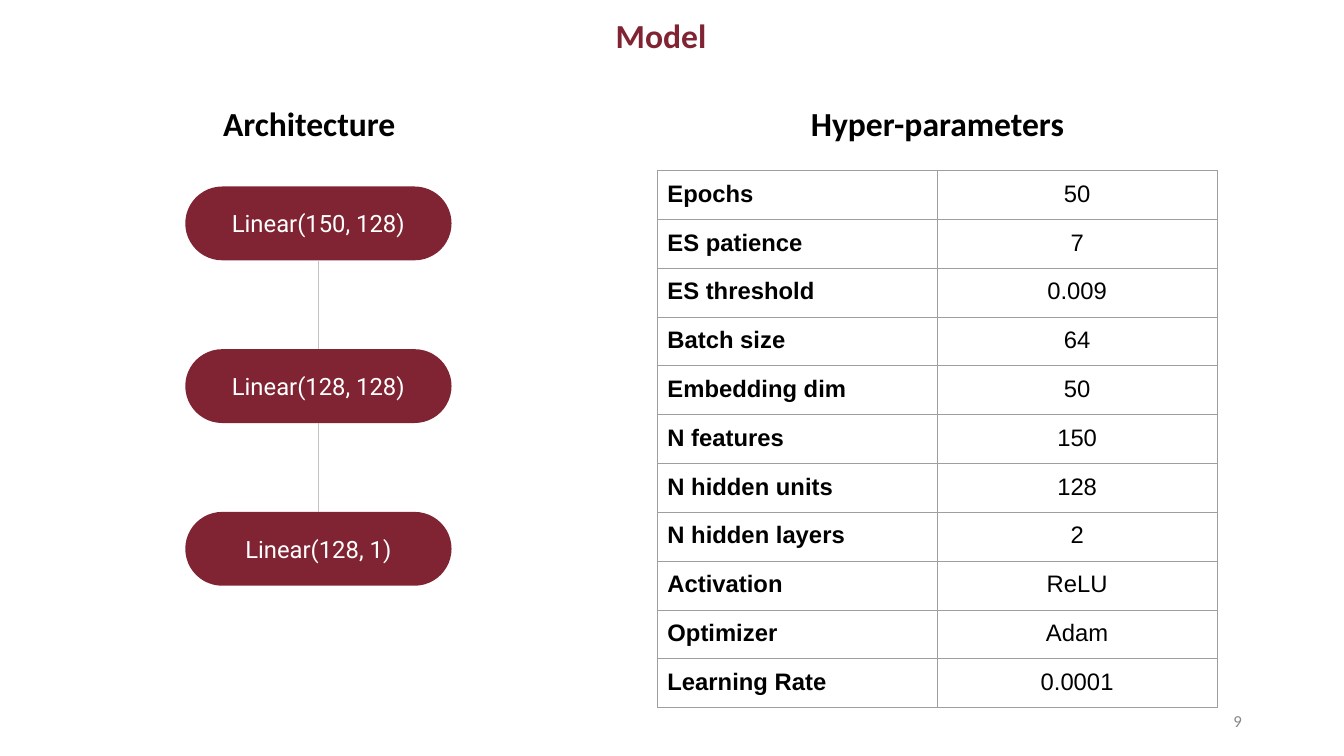
from lxml import etree
from pptx import Presentation
from pptx.dml.color import RGBColor
from pptx.enum.shapes import MSO_CONNECTOR, MSO_SHAPE
from pptx.enum.text import MSO_ANCHOR, PP_ALIGN
from pptx.oxml import parse_xml
from pptx.oxml.ns import nsdecls, qn
from pptx.util import Cm, Pt

LEFT, CENTER, RIGHT = PP_ALIGN.LEFT, PP_ALIGN.CENTER, PP_ALIGN.RIGHT
TOP, MIDDLE = MSO_ANCHOR.TOP, MSO_ANCHOR.MIDDLE
PILL, STRAIGHT = MSO_SHAPE.ROUNDED_RECTANGLE, MSO_CONNECTOR.STRAIGHT
PILL_TOP_SITE, PILL_BOTTOM_SITE = 0, 2

MAROON = RGBColor(0x80, 0x24, 0x33)
BLACK = RGBColor(0x00, 0x00, 0x00)
WHITE = RGBColor(0xFF, 0xFF, 0xFF)
GREY = RGBColor(0x88, 0x88, 0x88)
LINK_GREY = RGBColor(0xC2, 0xC2, 0xC2)
BORDER_GREY = RGBColor(0x9E, 0x9E, 0x9E)

LAYERS = ["Linear(150, 128)", "Linear(128, 128)", "Linear(128, 1)"]
HYPER_PARAMETERS = [
    ("Epochs", "50"),
    ("ES patience", "7"),
    ("ES threshold", "0.009"),
    ("Batch size", "64"),
    ("Embedding dim", "50"),
    ("N features", "150"),
    ("N hidden units", "128"),
    ("N hidden layers", "2"),
    ("Activation", "ReLU"),
    ("Optimizer", "Adam"),
    ("Learning Rate", "0.0001"),
]


def apply(target, formats):
    """Set every attribute in formats on target."""
    for attribute, value in formats.items():
        setattr(target, attribute, value)


def margins(horizontal, vertical):
    """Return the four inner margins in centimetres."""
    return {
        "margin_left": Cm(horizontal), "margin_right": Cm(horizontal),
        "margin_top": Cm(vertical), "margin_bottom": Cm(vertical),
    }


class ModelSlide:
    """Hold the slide's text styles and draw its elements."""

    title = {"name": "Calibri", "size": Pt(24), "bold": True}
    layer = {"name": "Roboto", "size": Pt(17)}
    entry = {"name": "Arial", "size": Pt(17)}
    number = {"name": "Calibri", "size": Pt(12)}

    def __init__(self, slide):
        """Keep the slide to draw on."""
        self.slide = slide

    def paragraph(self, frame, words, style, color, align, spacing=None):
        """Put one styled paragraph into a text frame."""
        paragraph = frame.paragraphs[0]
        apply(paragraph, {"alignment": align, "line_spacing": spacing})
        run = paragraph.add_run()
        run.text = words
        apply(run.font, style)
        run.font.color.rgb = color

    def text(self, box, words, style, color, align=CENTER, anchor=TOP,
             inset=0.25, spacing=0.9):
        """Add a wrapped text box."""
        frame = self.slide.shapes.add_textbox(*map(Cm, box)).text_frame
        apply(frame, {"word_wrap": True, "vertical_anchor": anchor,
                      **margins(0.25, inset)})
        self.paragraph(frame, words, style, color, align, spacing)

    def pill(self, box, words):
        """Add a fully rounded layer box."""
        shape = self.slide.shapes.add_shape(PILL, *map(Cm, box))
        shape.adjustments[0] = 0.5
        shape.shadow.inherit = False
        shape.fill.solid()
        shape.fill.fore_color.rgb = MAROON
        shape.line.fill.background()
        apply(shape.text_frame, {"word_wrap": True, "vertical_anchor": MIDDLE,
                                 **margins(0.33, 0.33)})
        self.paragraph(shape.text_frame, words, self.layer, WHITE, CENTER)
        return shape

    def link(self, upper, lower):
        """Connect the top of the lower layer to the bottom of the upper."""
        connector = self.slide.shapes.add_connector(STRAIGHT, 0, 0, 0, 0)
        connector.begin_connect(lower, PILL_TOP_SITE)
        connector.end_connect(upper, PILL_BOTTOM_SITE)
        connector.line.color.rgb = LINK_GREY
        connector.line.width = Pt(0.75)
        etree.SubElement(connector.element.spPr, qn("a:effectLst"))

    def border(self, cell):
        """Draw a thin line on each side of a cell."""
        properties = cell._tc.get_or_add_tcPr()
        for side in ("lnL", "lnR", "lnT", "lnB"):
            properties.append(parse_xml(
                f'<a:{side} {nsdecls("a")} w="{Pt(0.75)}"><a:solidFill>'
                f'<a:srgbClr val="{BORDER_GREY}"/></a:solidFill></a:{side}>'))

    def table(self, left, top, column_width, row_height, rows):
        """Add a bordered table of names and values."""
        table = self.slide.shapes.add_table(
            len(rows), 2, Cm(left), Cm(top),
            Cm(2 * column_width), Cm(len(rows) * row_height)).table
        apply(table, {"first_row": False, "horz_banding": False})
        for r, row in enumerate(rows):
            for c, words in enumerate(row):
                cell = table.cell(r, c)
                apply(cell, margins(0.25, 0.25))
                self.border(cell)
                cell.fill.background()
                self.paragraph(cell.text_frame, words,
                               {**self.entry, "bold": c == 0}, BLACK,
                               CENTER if c else LEFT)


def main():
    """Build and save the model slide."""
    deck = Presentation()
    apply(deck, {"slide_width": Cm(33.87), "slide_height": Cm(19.05)})
    model = ModelSlide(deck.slides.add_slide(deck.slide_layouts[6]))

    model.text((23.93, 17.65, 7.62, 1.02), "9", model.number, GREY,
               RIGHT, MIDDLE, 0.13, 1.0)
    model.text((0, 0.23, 33.32, 1.45), "Model", model.title, MAROON)
    for left, heading in ((3.63, "Architecture"), (19.46, "Hyper-parameters")):
        model.text((left, 2.46, 8.33, 1.45), heading, model.title, BLACK)

    layers = [model.pill((4.67, 4.7 + 4.1 * i, 6.71, 1.86), words)
              for i, words in enumerate(LAYERS)]
    for upper, lower in zip(layers, layers[1:]):
        model.link(upper, lower)

    model.table(16.57, 4.3, 7.05, 1.23, HYPER_PARAMETERS)
    deck.save("out.pptx")


if __name__ == "__main__":
    main()
